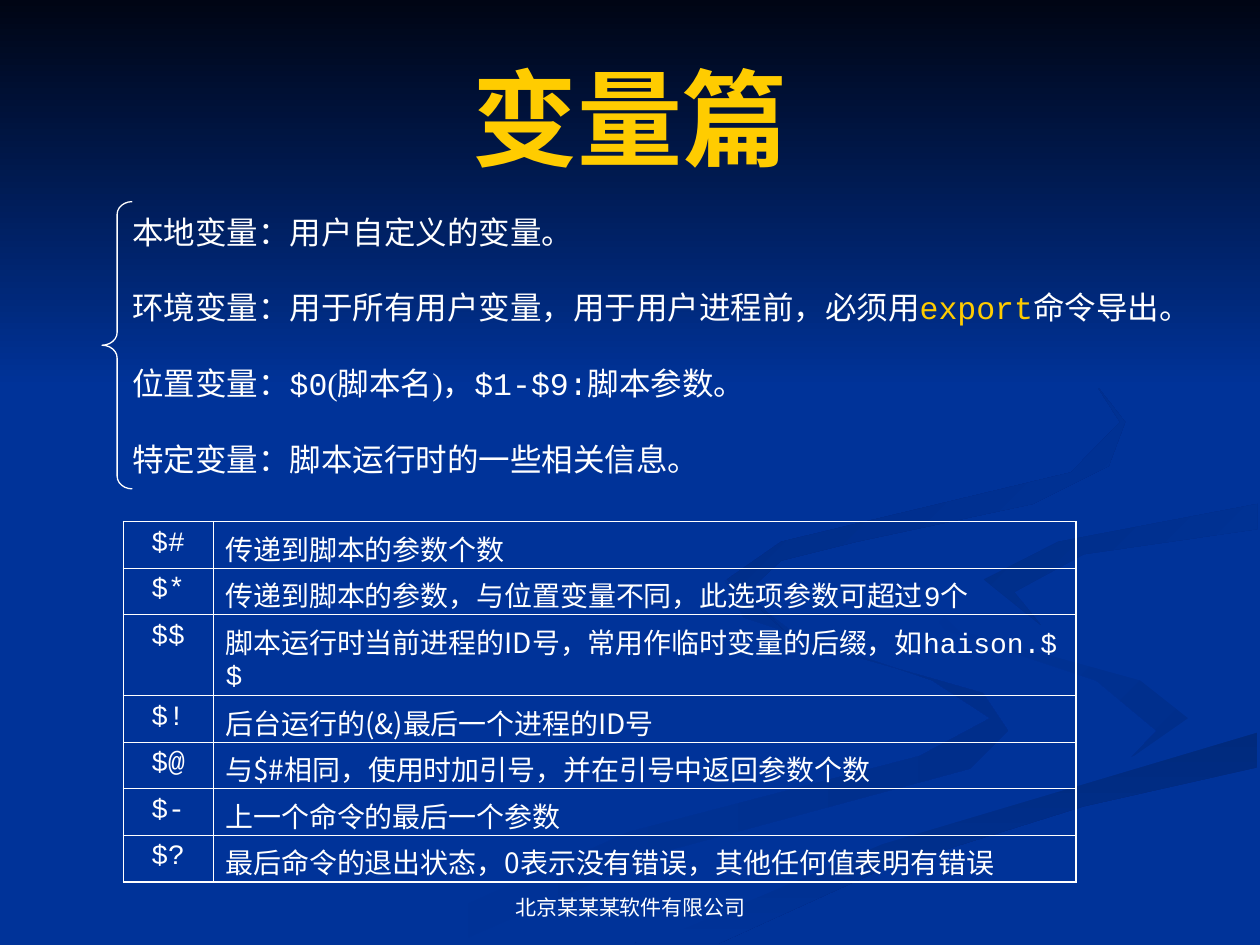
from dataclasses import dataclass

from lxml.etree import SubElement
from pptx import Presentation
from pptx.dml.color import RGBColor as RGB
from pptx.enum.shapes import MSO_SHAPE as Shape
from pptx.enum.text import MSO_ANCHOR as Anchor, PP_ALIGN as Align
from pptx.oxml import parse_xml
from pptx.oxml.ns import nsdecls, qn
from pptx.util import Inches, Pt


@dataclass(frozen=True)
class Theme:
    """Colours, fonts and type sizes of the slide."""
    blue: str = "003399"
    dusk: str = "002B82"
    night: str = "000514"
    white: str = "FFFFFF"
    gold: str = "FFCC00"
    serif: str = "Times New Roman"
    mono: str = "Courier New"
    hans: str = "Noto Sans CJK SC"
    title: int = 60
    body: int = 18
    cell: int = 16
    foot: int = 12


T = Theme()

RIBBONS = [
    ((T.blue, "002E8B"), 0, [
        (7.8, 5.5), (6.4, 5.1), (5.75, 4.6), (5.9, 4.9), (7.4, 5.4), (7.86, 5.7),
        (7.3, 6), (5, 6.6), (3, 7.49), (3.6, 7.49), (5.3, 6.75), (7.7, 6.1), (8, 5.8)]),
    ((T.blue, "002E8B"), 45, [
        (9.43, 5.7), (9.05, 5.4), (7.6, 5), (7.24, 4.64), (7.5, 5), (8.7, 5.4),
        (9.18, 5.8), (8.94, 6.05), (9.3, 5.9)]),
    (("002A7D", T.blue), 90, [
        (5.03, 7.49), (5.7, 7.49), (7, 6.9), (8.6, 6.4), (9.98, 6.09), (9.98, 5.81),
        (7.6, 6.47), (6, 7.06)]),
    ((T.blue, T.blue), 0, [
        (7.25, 4.64), (7.6, 5), (9.05, 5.4), (9.43, 5.7), (9, 6), (6.6, 6.7),
        (4.77, 7.49), (5.2, 7.47), (7, 6.7), (9.99, 5.81), (9.99, 5.38), (8.5, 5),
        (7.81, 4.6), (8.2, 4.3), (9.99, 4), (9.99, 3.87), (7.7, 4.3)]),
    (("002D86", T.blue), 45, [
        (7.81, 4.6), (8.26, 4.96), (8.05, 4.7), (8.6, 4.4), (9.98, 4.2),
        (9.98, 4), (8.4, 4.3)]),
    ((T.dusk, T.blue), 45, [
        (6.8, 4.3), (8.2, 4), (8.8, 3.7), (8.93, 3.35), (8.5, 2.8), (7.62, 2.33),
        (8.6, 2.9), (8.89, 3.35), (8.5, 3.75), (6.2, 4.3), (5.77, 4.6), (6.22, 5),
        (5.93, 4.7), (6.2, 4.45)]),
]

NOTES = [
    [("本地变量：用户自定义的变量。", T.serif)],
    [("环境变量：用于所有用户变量，用于用户进程前，必须用", T.serif),
     ("export", T.mono, T.gold), ("命令导出。", T.serif)],
    [("位置变量：", T.serif), ("$0", T.mono), ("(脚本名)，", T.serif),
     ("$1-$9:", T.mono), ("脚本参数。", T.hans)],
    [("特定变量：脚本运行时的一些相关信息。", T.serif)],
]

ROWS = [
    ("$#", [("传递到脚本的参数个数", T.hans)]),
    ("$*", [("传递到脚本的参数，与位置变量不同，此选项参数可超过", T.hans),
            ("9", T.mono), ("个", T.hans)]),
    ("$$", [("脚本运行时当前进程的ID号，常用作临时变量的后缀，如", T.hans),
            ("haison.$$", T.mono)]),
    ("$!", [("后台运行的(&)最后一个进程的ID号", T.hans)]),
    ("$@", [("与$#相同，使用时加引号，并在引号中返回参数个数", T.hans)]),
    ("$-", [("上一个命令的最后一个参数", T.hans)]),
    ("$?", [("最后命令的退出状态，0表示没有错误，其他任何值表明有错误", T.hans)]),
]


def write(frame, paras, size, align=Align.LEFT, color=T.white, bold=False, gap=0):
    """Fill a text frame with paragraphs of (words, font, colour) runs."""
    frame.word_wrap = True
    for i, runs in enumerate(paras):
        para = frame.add_paragraph() if i else frame.paragraphs[0]
        para.alignment = align
        para.space_before = Pt(gap if i else 0)
        for words, face, *tint in runs:
            run = para.add_run()
            run.text = words
            font = run.font
            font.name, font.size, font.bold = face, Pt(size), bold
            font.color.rgb = RGB.from_string(tint[0] if tint else color)
            SubElement(font._element, qn("a:ea")).set("typeface", T.hans)


def shade(shape, ends, angle):
    """Give a shape a two-colour gradient, clockwise angle, and no outline."""
    shape.shadow.inherit = False
    shape.line.fill.background()
    shape.fill.gradient()
    shape.fill.gradient_angle = 360 - angle
    for stop, tint in zip(shape.fill.gradient_stops, ends):
        stop.color.rgb = RGB.from_string(tint)


def ribbon(shapes, ends, angle, points):
    """Draw a closed ribbon from points in inches."""
    first, *rest = [(Inches(x), Inches(y)) for x, y in points]
    pen = shapes.build_freeform(*first)
    pen.add_line_segments(rest, close=True)
    shade(pen.convert_to_shape(), ends, angle)


def label(shapes, box, paras, size, anchor=Anchor.TOP, **style):
    """Add a text box and return its frame."""
    frame = shapes.add_textbox(*map(Inches, box)).text_frame
    frame.vertical_anchor = anchor
    write(frame, paras, size, **style)
    return frame


def edge(cell, sides):
    """Set cell borders from widths in points, keyed by side."""
    for i, (side, width) in enumerate(sides.items()):
        cell._tc.get_or_add_tcPr().insert(i, parse_xml(
            f'<a:ln{side} {nsdecls("a")} w="{Pt(width)}"><a:solidFill>'
            f'<a:srgbClr val="{T.white}"/></a:solidFill></a:ln{side}>'))


def grid(shapes):
    """Add the table of special variables."""
    table = shapes.add_table(len(ROWS), 2, *map(Inches, (0.98, 4.14, 7.56, 2.86))).table
    table.first_row = table.horz_banding = False
    for col, width in zip(table.columns, (0.71, 6.85)):
        col.width = Inches(width)
    thick, thin = 1.08, 0.45
    last = len(ROWS) - 1
    for r, (name, note) in enumerate(ROWS):
        table.rows[r].height = Inches(0.64 if name == "$$" else 0.37)
        for c, runs in enumerate(([(name, T.mono)], note)):
            cell = table.cell(r, c)
            cell.fill.background()
            write(cell.text_frame, [runs], T.cell, Align.LEFT if c else Align.CENTER)
            edge(cell, {"L": thin if c else thick, "R": thick if c else thin,
                        "T": thin if r else thick, "B": thick if r == last else thin})


def brace(shapes):
    """Add the left brace that joins the kinds of variable."""
    mark = shapes.add_shape(Shape.LEFT_BRACE, *map(Inches, (0.81, 1.6, 0.24, 2.28)))
    mark.shadow.inherit = False
    mark.adjustments[0] = 0.42
    mark.fill.background()
    mark.line.color.rgb = RGB.from_string(T.white)
    mark.line.width = Pt(0.75)


def heading(shapes):
    """Place the title above the backdrop."""
    title = shapes.title
    title.left, title.top, title.width, title.height = map(Inches, (0.5, 0.3, 9, 1.25))
    title.text_frame.vertical_anchor = Anchor.MIDDLE
    write(title.text_frame, [[("变量篇", T.serif)]], T.title, Align.CENTER, T.gold, True)
    shapes._spTree.append(title._element)


def main():
    """Build and save the slide."""
    deck = Presentation()
    deck.slide_width, deck.slide_height = Inches(10), Inches(7.5)
    slide = deck.slides.add_slide(deck.slide_layouts[5])
    shapes = slide.shapes
    slide.background.fill.solid()
    slide.background.fill.fore_color.rgb = RGB.from_string(T.blue)
    for ends, angle, points in RIBBONS:
        ribbon(shapes, ends, angle, points)
    sky = shapes.add_shape(Shape.RECTANGLE, 0, 0, Inches(10), Inches(3.08))
    shade(sky, (T.night, T.blue), 90)
    label(shapes, (3.42, 6.83, 3.17, 0.52), [[("北京某某某软件有限公司", T.hans)]],
          T.foot, Anchor.BOTTOM, align=Align.CENTER)
    heading(shapes)
    brace(shapes)
    notes = label(shapes, (0.95, 1.64, 8.59, 2.5), NOTES, T.body, gap=21.6)
    notes.margin_right = Inches(0.3)
    grid(shapes)
    deck.save("out.pptx")


if __name__ == "__main__":
    main()
